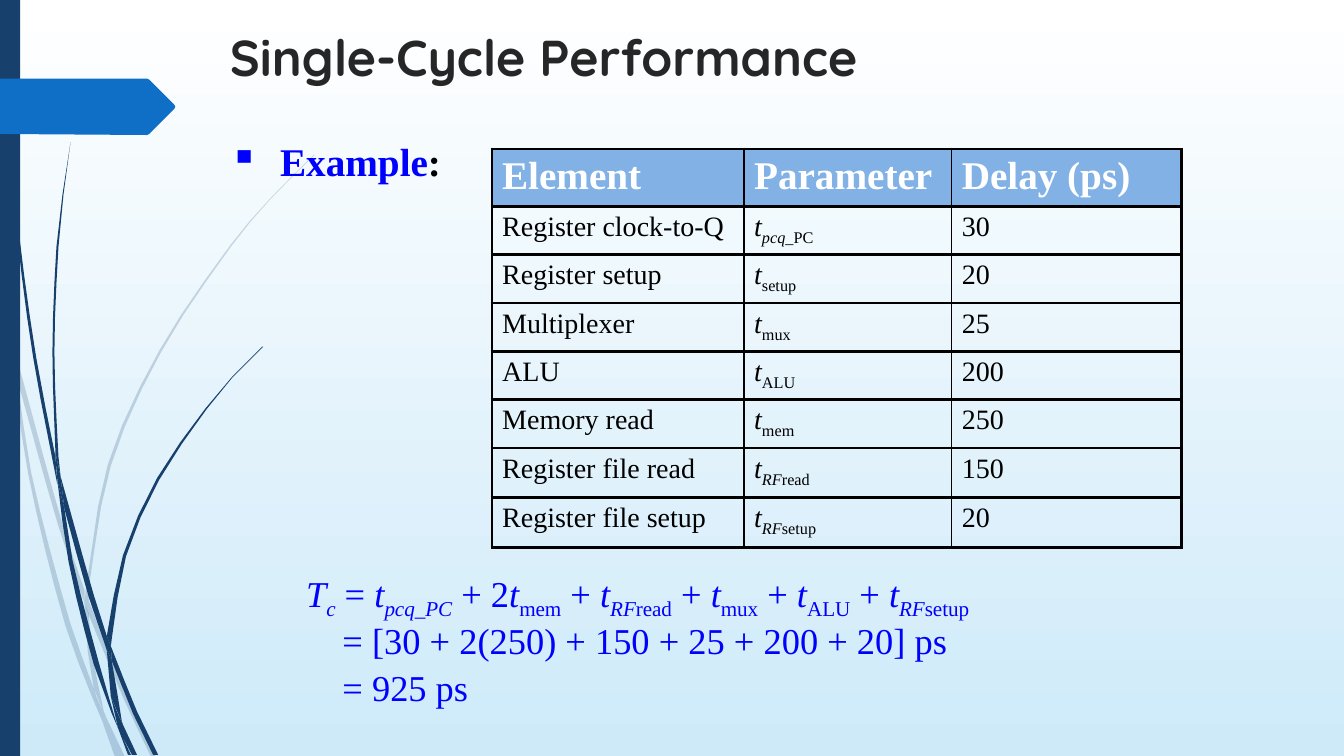
from dataclasses import dataclass
from math import hypot

from lxml import etree
from pptx import Presentation
from pptx import util as u
from pptx.dml import color as clr
from pptx.enum import shapes as sh, text as tx
from pptx.oxml import ns

COLORS = {"navy": "17406D", "arrow": "0F6FC6", "sky": "CEEAF9", "white": "FFFFFF", "title": "262626",
          "blue": "0000FF", "black": "000000", "header": "82B1E5"}
SERIF = "Times New Roman"
GRID = 0.72  # points per unit of the decoration's grid
Knot = tuple[float, float]
Outline = list[list[Knot]]  # knots within an edge join smoothly, edges meet at corners


@dataclass
class Run:
    text: str
    italic: bool = False
    sub: bool = False
    color: str = ""


@dataclass
class Element:
    label: str
    symbol: list[Run]
    delay: str


@dataclass
class Grass:
    opacity: int
    blades: list[Outline]
    joints: list[Outline]


def symbol(letter: str, italic_sub: str = "", plain_sub: str = "") -> list[Run]:
    subs = [Run(italic_sub, True, True), Run(plain_sub, False, True)]
    return [Run(letter, True)] + [sub for sub in subs if sub.text]


def rgb(name: str) -> clr.RGBColor:
    return clr.RGBColor.from_string(COLORS[name])


def add_xml(parent, tag: str, **attributes: str):
    return etree.SubElement(parent, ns.qn(tag), attributes)


def write(par, runs: list[Run], *, size: float, color: str, font: str = SERIF, bold: bool = False,
          before: int = 20, line: float = 1.0, left: float = 0, hang: float = 0, bullet: str = "") -> None:
    par.alignment = tx.PP_ALIGN.LEFT
    par.line_spacing = line
    par.space_before = u.Pt(0)
    props = par._p.get_or_add_pPr()
    spacing = props.find(ns.qn("a:spcBef"))
    spacing.remove(spacing[0])
    add_xml(spacing, "a:spcPct", val=str(before * 1000))
    props.set("marL", str(u.Pt(left)))
    props.set("indent", str(u.Pt(-hang)))
    if bullet:
        add_xml(props, "a:buChar", char=bullet)
    for part in runs:
        run = par.add_run()
        run.text = part.text
        run.font.name, run.font.size = font, u.Pt(size)
        run.font.bold, run.font.italic = bold, part.italic
        run.font.color.rgb = rgb(part.color or color)
        if part.sub:
            run._r.get_or_add_rPr().set("baseline", "-25000")


def smooth(edge: list[Knot]) -> list[Knot]:
    """Points of a curve through the knots of an edge, about 40 units apart."""
    last = len(edge) - 1
    tangents = []
    for i in range(last + 1):
        (x0, y0), (x1, y1) = edge[max(i - 1, 0)], edge[min(i + 1, last)]
        length = hypot(x1 - x0, y1 - y0) or 1
        tangents.append(((x1 - x0) / length, (y1 - y0) / length))
    points = [edge[0]]
    for i in range(last):
        a, d = edge[i], edge[i + 1]
        chord = hypot(d[0] - a[0], d[1] - a[1])
        b = [a[k] + chord / 3 * tangents[i][k] for k in (0, 1)]
        c = [d[k] - chord / 3 * tangents[i + 1][k] for k in (0, 1)]
        steps = max(1, round(chord / 40)) if last > 1 else 1
        for t in (n / steps for n in range(1, steps + 1)):
            s = 1 - t
            x, y = (s**3 * a[k] + 3 * s * s * t * b[k] + 3 * s * t * t * c[k] + t**3 * d[k] for k in (0, 1))
            points.append((x, y))
    return points


def paint(shape, color: str, opacity: int = 100) -> None:
    shape.shadow.inherit = False
    shape.fill.solid()
    shape.fill.fore_color.rgb = rgb(color)
    shape.line.fill.background()
    if opacity < 100:
        fill_color = shape._element.spPr.find(ns.qn("a:solidFill"))[0]
        add_xml(fill_color, "a:alpha", val=str(opacity * 1000))


def draw(slide, outlines: list[Outline], color: str, opacity: int = 100) -> None:
    """One shape made of one or more closed outlines."""
    builder = None
    for outline in outlines:
        points = [(u.Pt(x * GRID), u.Pt(y * GRID)) for edge in outline for x, y in smooth(edge)]
        if builder is None:
            builder = slide.shapes.build_freeform(*points[0], scale=1.0)
        else:
            builder.move_to(*points[0])
        builder.add_line_segments(points[1:], close=True)
    paint(builder.convert_to_shape(), color, opacity)


def border(cell, widths: dict[str, float]) -> None:
    props = cell._tc.get_or_add_tcPr()
    for place, (side, width) in enumerate(widths.items()):
        line = add_xml(props, f"a:ln{side}", w=str(u.Pt(width)))
        add_xml(add_xml(line, "a:solidFill"), "a:srgbClr", val=COLORS["black"])
        props.insert(place, line)


def text_box(slide, left: float, top: float, width: float, height: float):
    frame = slide.shapes.add_textbox(*map(u.Pt, (left, top, width, height))).text_frame
    frame.word_wrap = True
    return frame


FAINT = Grass(20, [
    [[(0, 282), (9, 322), (11, 350)], [(10, 344), (0, 299)]],
    [[(14, 345), (62, 520), (84, 586)], [(84, 599), (58, 522), (17, 376)]],
    [[(88, 596), (127, 692), (155, 751)], [(150, 751), (123, 694), (88, 610)]],
    [[(11, 350), (17, 376), (31, 469), (70, 619), (93, 683), (101, 714)],
     [(92, 693), (65, 621), (28, 470), (11, 350)]],
    [[(84, 599), (87, 646), (93, 683), (105, 711)], [(103, 706), (91, 646), (88, 608)]],
    [[(85, 586), (107, 461), (158, 348), (228, 244), (268, 197), (312, 153)],
     [(312, 154), (268, 198), (229, 245), (160, 349), (110, 462), (88, 584), (88, 596)]],
], [
    [[(105, 711), (124, 751)], [(119, 751)]],
    [[(101, 714), (114, 751)], [(119, 751)]],
    [[(85, 586), (88, 596)], [(88, 610), (84, 599)]],
    [[(93, 683), (101, 714)], [(119, 751)], [(105, 711), (96, 692)]],
])
BOLD = Grass(100, [
    [[(3, 0), (7, 110), (17, 233), (33, 355), (57, 481)],
     [(55, 453), (36, 355), (19, 232), (8, 109), (4, 0)]],
    [[(60, 472), (93, 590), (106, 631)], [(106, 645), (88, 592), (64, 505)]],
    [[(110, 641), (136, 706), (157, 749)], [(152, 749), (132, 708), (111, 656)]],
    [[(57, 477), (64, 505), (72, 556), (98, 657), (117, 722)],
     [(111, 708), (93, 659), (68, 557), (57, 477)]],
    [[(55, 449), (52, 349), (56, 245), (62, 193), (70, 141)],
     [(63, 193), (58, 245), (54, 349), (58, 453), (60, 472)]],
    [[(106, 631), (122, 551), (156, 474), (204, 405), (231, 373), (260, 344)],
     [(261, 344), (231, 374), (205, 406), (158, 476), (125, 552), (111, 633), (110, 641)]],
    [[(106, 645), (110, 691), (122, 719)], [(121, 716), (111, 656), (109, 651)]],
], [
    [[(122, 719), (136, 749)], [(133, 749)]],
    [[(55, 449), (60, 472)], [(64, 505)], [(57, 477), (55, 453)]],
    [[(117, 722), (131, 749)], [(127, 749)]],
    [[(106, 631), (110, 641)], [(111, 656)], [(109, 651), (106, 645)]],
    [[(110, 691), (117, 722)], [(130, 749)], [(133, 749)], [(122, 719), (116, 706)]],
])
ARROW = [[(0, 78), (146, 78)], [(148, 79), (173, 104)], [(174, 106)], [(173, 108), (148, 133)],
         [(146, 134), (0, 133)]]
HEADINGS = ["Element", "Parameter", "Delay (ps)"]
ELEMENTS = [
    Element("Register clock-to-Q", symbol("t", "pcq", "_PC"), "30"),
    Element("Register setup", symbol("t", "", "setup"), "20"),
    Element("Multiplexer", symbol("t", "", "mux"), "25"),
    Element("ALU", symbol("t", "", "ALU"), "200"),
    Element("Memory read", symbol("t", "", "mem"), "250"),
    Element("Register file read", symbol("t", "RF", "read"), "150"),
    Element("Register file setup", symbol("t", "RF", "setup"), "20"),
]


def add_delays(slide) -> None:
    rows = [[[Run(heading)] for heading in HEADINGS]]
    rows += [[[Run(e.label)], e.symbol, [Run(e.delay)]] for e in ELEMENTS]
    widths, heights = [180, 148.3, 164.2], [33.9] * 6 + [35.5] * 2
    delays = slide.shapes.add_table(len(rows), len(widths), u.Pt(351.5), u.Pt(106.5),
                                    u.Pt(sum(widths)), u.Pt(sum(heights))).table
    delays.first_row = delays.horz_banding = False
    for column, width in zip(delays.columns, widths):
        column.width = u.Pt(width)
    for r, row in enumerate(rows):
        delays.rows[r].height = u.Pt(heights[r])
        for c, runs in enumerate(row):
            cell = delays.cell(r, c)
            if r == 0:
                cell.fill.solid()
                cell.fill.fore_color.rgb = rgb("header")
            else:
                cell.fill.background()
            border(cell, {"L": 2.25 if c == 0 else 1, "R": 2.25 if c == 2 else 1, "T": 2.25, "B": 2.25})
            write(cell.text_frame.paragraphs[0], runs, size=20 if r else 28,
                  color="black" if r else "white", bold=r == 0)


def main() -> None:
    deck = Presentation()
    deck.slide_width, deck.slide_height = u.Pt(960), u.Pt(540)
    slide = deck.slides.add_slide(deck.slide_layouts[5])

    # Background and decoration
    backdrop = slide.background.fill
    backdrop.gradient()
    backdrop.gradient_angle = 270
    for stop, name in zip(backdrop.gradient_stops, ("white", "sky")):
        stop.color.rgb = rgb(name)
    for grass in (FAINT, BOLD):
        for outlines in [[blade] for blade in grass.blades] + [grass.joints]:
            draw(slide, outlines, "navy", grass.opacity)
    paint(slide.shapes.add_shape(sh.MSO_SHAPE.RECTANGLE, 0, 0, u.Pt(14.4), u.Pt(540)), "navy")
    draw(slide, [ARROW], "arrow")

    # Title
    title = slide.shapes.title
    title.left, title.top, title.width, title.height = map(u.Pt, (157, 0, 754, 80.5))
    title.text_frame.auto_size = tx.MSO_AUTO_SIZE.NONE
    title.text_frame.vertical_anchor = tx.MSO_ANCHOR.MIDDLE
    write(title.text_frame.paragraphs[0], [Run("Single-Cycle Performance")], size=36, color="title",
          font="Quicksand", bold=True, before=0)

    # Example and its delays
    example = text_box(slide, 157, 98, 661, 390)
    write(example.paragraphs[0], [Run("Example"), Run(":", color="black")], size=28, color="blue",
          bold=True, line=0.9, left=36, hang=36, bullet="▪")
    add_delays(slide)

    # Cycle time
    delay = {e.label: e.symbol for e in ELEMENTS}
    cycle = symbol("T", "c") + [Run(" = ")] + symbol("t", "pcq_PC") + [Run(" + 2")] + delay["Memory read"]
    for label in ("Register file read", "Multiplexer", "ALU", "Register file setup"):
        cycle += [Run(" + ")] + delay[label]
    steps = [cycle, [Run("= [30 + 2(250) + 150 + 25 + 200 + 20] ps")], [Run("= 925 ps")]]
    working = text_box(slide, 184.5, 404.5, 606, 84)
    for i, step in enumerate(steps):
        par = working.add_paragraph() if i else working.paragraphs[0]
        write(par, step, size=26, color="blue", line=0.9, left=53 if i else 27)

    deck.save("out.pptx")


if __name__ == "__main__":
    main()
